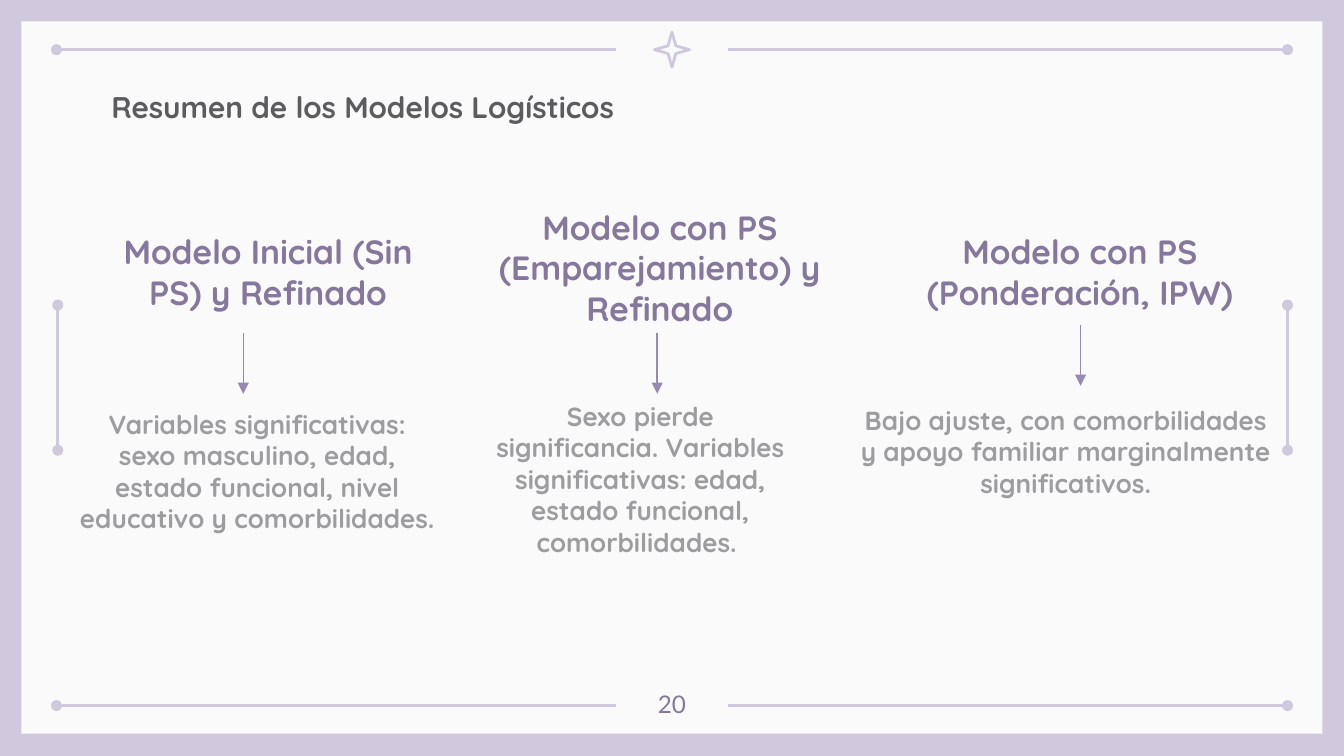
from lxml import etree
from pptx import Presentation
from pptx.dml.color import RGBColor
from pptx.enum.shapes import MSO_CONNECTOR as Connector, MSO_SHAPE as Shape
from pptx.enum.text import MSO_ANCHOR as Anchor, PP_ALIGN as Align
from pptx.oxml.ns import qn
from pptx.util import Inches, Pt

LILAC = "D0C9DD"
PURPLE = "85789C"
ARROW = "9888B4"
GREY = "9D9DA0"
DARK = "5C5C5F"
PAPER = "FAFAFA"

color = RGBColor.from_string
presentation = Presentation()
presentation.slide_width = Inches(10)
presentation.slide_height = Inches(10 * 9 / 16)
slide = presentation.slides.add_slide(presentation.slide_layouts[6])
slide.background.fill.solid()
slide.background.fill.fore_color.rgb = color(LILAC)


def add_line(start, end, line_color, width, head=None, tail=None):
    line = slide.shapes.add_connector(
        Connector.STRAIGHT, *[Inches(value) for value in start + end])
    line.line.color.rgb = color(line_color)
    line.line.width = Pt(width)
    outline = line.line._get_or_add_ln()
    for tag, kind in (("a:headEnd", head), ("a:tailEnd", tail)):
        if kind:
            etree.SubElement(outline, qn(tag), type=kind)
    etree.SubElement(line._element.spPr, qn("a:effectLst"))


def add_text(text, box, size, text_color, font="Quicksand", bold=True,
             align=Align.CENTER, anchor=Anchor.TOP, inset=0.1):
    shape = slide.shapes.add_textbox(*[Inches(value) for value in box])
    frame = shape.text_frame
    frame.word_wrap = True
    frame.vertical_anchor = anchor
    frame.margin_top = frame.margin_bottom = Inches(inset)
    frame.margin_left = frame.margin_right = Inches(0.1)
    paragraph = frame.paragraphs[0]
    paragraph.text = text
    paragraph.alignment = align
    paragraph.font.size = Pt(size)
    paragraph.font.name = font
    paragraph.font.bold = bold
    paragraph.font.color.rgb = color(text_color)


paper = slide.shapes.add_shape(
    Shape.RECTANGLE, Inches(0.16), Inches(0.16), Inches(9.68), Inches(5.3))
paper.shadow.inherit = False
paper.fill.solid()
paper.fill.fore_color.rgb = color(PAPER)
paper.line.fill.background()

for y in (0.37, 5.25):
    add_line((0.42, y), (4.58, y), LILAC, 1.5, head="oval")
    add_line((5.42, y), (9.58, y), LILAC, 1.5, tail="oval")
for x in (0.43, 9.58):
    add_line((x, 3.35), (x, 2.27), LILAC, 1.5, head="oval", tail="oval")

star = slide.shapes.add_shape(
    Shape.STAR_4_POINT, Inches(4.87), Inches(0.24), Inches(0.26), Inches(0.26))
star.adjustments[0] = 0.157
star.shadow.inherit = False
star.fill.background()
star.line.color.rgb = color(LILAC)
star.line.width = Pt(1.5)

add_text("20", (4.7, 5.03, 0.6, 0.36), 13, PURPLE, font="Lato", bold=False)
add_text("Resumen de los Modelos Logísticos", (0.73, 0.56, 8.43, 0.63), 16, DARK,
         align=Align.LEFT)

models = [
    ("Modelo Inicial (Sin PS) y Refinado", (0.73, 1.6, 2.53, 0.82),
     "Variables significativas: sexo masculino, edad, estado funcional, "
     "nivel educativo y comorbilidades. ",
     (0.49, 2.99, 2.85, 1.04), Anchor.TOP, 0.05, (1.81, 2.48)),
    ("Modelo con PS (Emparejamiento) y Refinado", (3.61, 1.64, 2.6, 0.9),
     "Sexo pierde significancia. Variables significativas: edad, "
     "estado funcional, comorbilidades. ",
     (3.49, 2.93, 2.55, 1.28), Anchor.TOP, 0.05, (4.89, 2.48)),
    ("Modelo con PS (Ponderación, IPW)", (6.76, 1.5, 2.55, 0.92),
     "Bajo ajuste, con comorbilidades y apoyo familiar marginalmente "
     "significativos.",
     (6.29, 2.6, 3.28, 1.21), Anchor.BOTTOM, 0.1, (8.04, 2.42)),
]
for heading, heading_box, finding, finding_box, anchor, inset, (x, y) in models:
    add_text(heading, heading_box, 18, PURPLE, anchor=Anchor.BOTTOM)
    add_text(finding, finding_box, 14, GREY, anchor=anchor, inset=inset)
    add_line((x, y), (x, y + 0.45), ARROW, 0.75, tail="triangle")

presentation.save("out.pptx")
